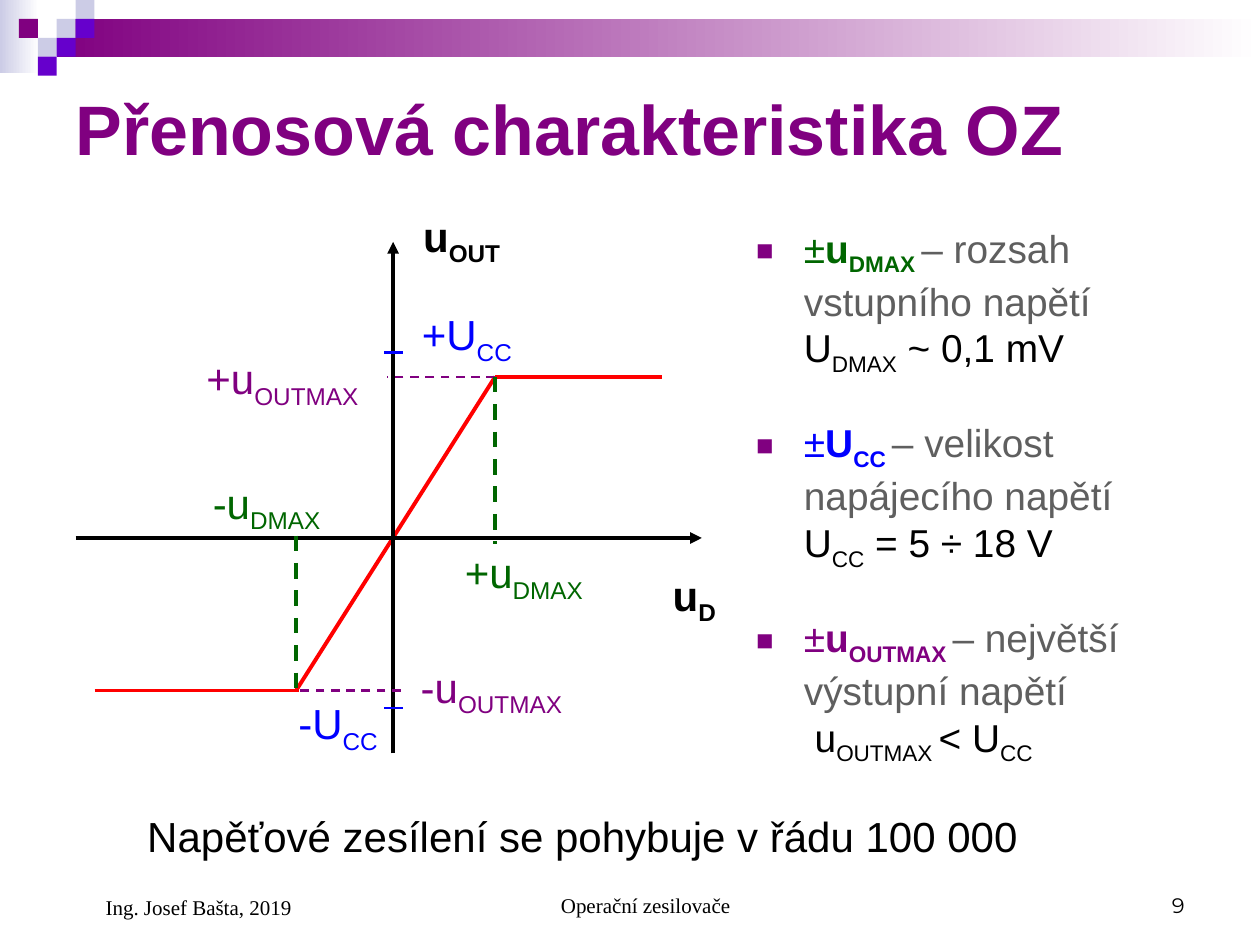
from dataclasses import dataclass

from lxml import etree
from pptx import Presentation
from pptx import util as u
from pptx.dml.color import RGBColor
from pptx.enum import dml, shapes, text
from pptx.oxml import ns

COLUMNS, ROWS = 100, 75
CELL = u.Inches(0.1)
TILE = 1.5


@dataclass(frozen=True)
class Theme:
    black: str = "000000"
    white: str = "FFFFFF"
    grey: str = "5F5F5F"
    purple: str = "800080"
    violet: str = "6600CC"
    lilac: str = "CCCCE6"
    green: str = "006600"
    blue: str = "0000FF"
    red: str = "FF0000"
    sans: str = "Arial"
    serif: str = "Times New Roman"
    number: str = "Montserrat"
    title: float = 40
    label: float = 24
    body: float = 22.2
    footer: float = 12


THEME = Theme()
ALIGN, ANCHOR, FIT = text.PP_ALIGN, text.MSO_ANCHOR, text.MSO_AUTO_SIZE


def cells(*lengths):
    return [round(length * CELL) for length in lengths]


def add_span(para, words, size, color, bold=False, sub=False, font=THEME.sans):
    span = para.add_run()
    span.text = words
    span.font.name, span.font.size, span.font.bold = font, u.Pt(size), bold
    span.font.color.rgb = RGBColor.from_string(color)
    if sub:
        span.font._element.set("baseline", "-25000")


def add_box(page, place, anchor=ANCHOR.TOP, fit=FIT.NONE):
    """Add a wrapping text box and return its first paragraph."""
    frame = page.shapes.add_textbox(*cells(*place)).text_frame
    frame.word_wrap, frame.auto_size, frame.vertical_anchor = True, fit, anchor
    return frame.paragraphs[0]


def add_label(page, place, symbol, index, color, bold=False):
    para = add_box(page, place, fit=FIT.SHAPE_TO_FIT_TEXT)
    add_span(para, symbol, THEME.label, color, bold)
    if index:
        add_span(para, index, THEME.label, color, bold, sub=True)


def add_footer(page, place, words, align, font=THEME.serif, indent=0.0):
    para = add_box(page, place, ANCHOR.BOTTOM)
    para.alignment = align
    para._p.get_or_add_pPr().set("marL", str(u.Inches(indent)))
    add_span(para, words, THEME.footer, THEME.black, font=font)


def add_line(page, start, end, color, width=2.25, dash=False, arrow=False):
    line = page.shapes.add_connector(shapes.MSO_CONNECTOR.STRAIGHT, *cells(*start, *end))
    line.line.color.rgb = RGBColor.from_string(color)
    line.line.width = u.Pt(width)
    if dash:
        line.line.dash_style = dml.MSO_LINE.DASH
    if arrow:
        etree.SubElement(line.line._get_or_add_ln(), ns.qn("a:tailEnd"), type="triangle")
    etree.SubElement(line._element.spPr, ns.qn("a:effectLst"))


def add_block(page, place, color, fade=False):
    block = page.shapes.add_shape(shapes.MSO_SHAPE.RECTANGLE, *cells(*place))
    block.shadow.inherit = False
    block.line.fill.background()
    if fade:
        block.fill.gradient()
        block.fill.gradient_angle = 180
        for stop, position, tone in zip(block.fill.gradient_stops, (0, 1), (THEME.white, color)):
            stop.position, stop.color.rgb = position, RGBColor.from_string(tone)
    else:
        block.fill.solid()
        block.fill.fore_color.rgb = RGBColor.from_string(color)


def add_banner(page):
    add_block(page, (0, 0, 3.1, 5.8), THEME.lilac, fade=True)
    add_block(page, (4.5, 1.5, 95.5, 3), THEME.purple, fade=True)
    tiles = {
        THEME.lilac: [(3, 1), (4, 0), (2, 2)],
        THEME.violet: [(4, 1), (3, 2), (2, 3)],
        THEME.purple: [(1, 1)],
    }
    for color, spots in tiles.items():
        for column, row in spots:
            add_block(page, (column * TILE, row * TILE, TILE, TILE), color)


def add_title(page, words):
    title = page.shapes.title
    title.left, title.top, title.width, title.height = cells(5, 5, 90, 10.3)
    title.text_frame.vertical_anchor = ANCHOR.MIDDLE
    title.text_frame.auto_size = FIT.NONE
    para = title.text_frame.paragraphs[0]
    para.alignment = ALIGN.LEFT
    add_span(para, words, THEME.title, THEME.purple, bold=True)


def set_bullet(para):
    props = para._p.get_or_add_pPr()
    props.set("marL", str(u.Inches(0.38)))
    props.set("indent", str(-u.Inches(0.38)))
    tint = etree.SubElement(props, ns.qn("a:buClr"))
    etree.SubElement(tint, ns.qn("a:srgbClr"), val=THEME.purple)
    etree.SubElement(props, ns.qn("a:buSzPct"), val="75000")
    etree.SubElement(props, ns.qn("a:buFont"), typeface=THEME.sans)
    etree.SubElement(props, ns.qn("a:buChar"), char="■")


def add_definitions(page, items):
    """Fill the body with items of (symbol, index, meaning, formula, colour)."""
    body = page.placeholders[1]
    body.left, body.top, body.width, body.height = cells(59, 17.3, 36.3, 45.8)
    frame = body.text_frame
    frame.auto_size = FIT.NONE
    for number, (symbol, index, meaning, formula, color) in enumerate(items):
        para = frame.add_paragraph() if number else frame.paragraphs[0]
        set_bullet(para)
        para.space_before = u.Pt(24 if number else 0)
        add_span(para, "±", THEME.body, color)
        add_span(para, symbol, THEME.body, color, bold=True)
        add_span(para, index + " ", THEME.body, color, bold=True, sub=True)
        add_span(para, "– " + meaning, THEME.body, THEME.grey)
        para.add_line_break()
        for position, words in enumerate(formula):
            add_span(para, words, THEME.body, THEME.black, sub=position % 2 == 1)


def add_characteristic(page):
    axis_x, axis_y = 31.2, 42.7
    low_x, low_y, high_x, high_y = 23.5, 54.8, 39.3, 29.9

    add_line(page, (low_x, low_y), (high_x, high_y), THEME.red)
    add_line(page, (high_x, high_y), (52.5, high_y), THEME.red)
    add_line(page, (7.5, low_y), (low_x + 0.2, low_y), THEME.red)
    add_line(page, (6, axis_y), (55.7, axis_y), THEME.black, arrow=True)
    add_line(page, (axis_x, 59.8), (axis_x, 19.2), THEME.black, arrow=True)

    add_line(page, (31.8, low_y), (low_x, low_y), THEME.purple, 1.25, dash=True)
    add_line(page, (high_x, high_y), (30.7, high_y), THEME.purple, 1.25, dash=True)
    add_line(page, (high_x, high_y), (high_x, axis_y + 0.5), THEME.green, dash=True)
    add_line(page, (low_x, axis_y - 0.2), (low_x, low_y), THEME.green, dash=True)
    for supply_y in (28, 56.2):
        add_line(page, (axis_x - 0.7, supply_y), (axis_x + 0.8, supply_y), THEME.blue, 1.5)

    add_label(page, (32.6, 16.2, 11.1, 5.6), "u", "OUT", THEME.black, bold=True)
    add_label(page, (52.4, 44.7, 6.6, 5.6), "u", "D", THEME.black, bold=True)
    for left, top, width, symbol, index, color in [
        (15.4, 27.5, 16.5, "+u", "OUTMAX", THEME.purple),
        (32.4, 52, 16.5, "-u", "OUTMAX", THEME.purple),
        (32.5, 24, 10, "+U", "CC", THEME.blue),
        (22.7, 54.9, 10, "-U", "CC", THEME.blue),
        (35.9, 42.9, 13.8, "+u", "DMAX", THEME.green),
        (15.9, 37.4, 13.8, "-u", "DMAX", THEME.green),
    ]:
        add_label(page, (left, top, width, 5.6), symbol, index, color)


def main():
    deck = Presentation()
    deck.slide_width, deck.slide_height = cells(COLUMNS, ROWS)
    page = deck.slides.add_slide(deck.slide_layouts[1])
    add_banner(page)
    add_title(page, "Přenosová charakteristika OZ")
    add_definitions(page, [
        ("u", "DMAX", "rozsah vstupního napětí", ["U", "DMAX", " ~ 0,1 mV"], THEME.green),
        ("U", "CC", "velikost napájecího napětí", ["U", "CC", " = 5 ÷ 18 V"], THEME.blue),
        ("u", "OUTMAX", "největší výstupní napětí",
         [" u", "OUTMAX ", "< U", "CC"], THEME.purple),
    ])
    add_characteristic(page)
    add_label(page, (10.7, 63.8, 79.5, 5), "Napěťové zesílení se pohybuje v řádu 100 000",
              "", THEME.black)
    add_footer(page, (34.2, 68.3, 31.7, 5), "Operační zesilovače", ALIGN.CENTER, indent=0.24)
    add_footer(page, (71.7, 68.3, 23.3, 5), "9", ALIGN.RIGHT, THEME.number)
    add_footer(page, (5, 68.3, 23.3, 5.2), "Ing. Josef Bašta, 2019", ALIGN.LEFT, indent=0.24)
    deck.save("out.pptx")


if __name__ == "__main__":
    main()
